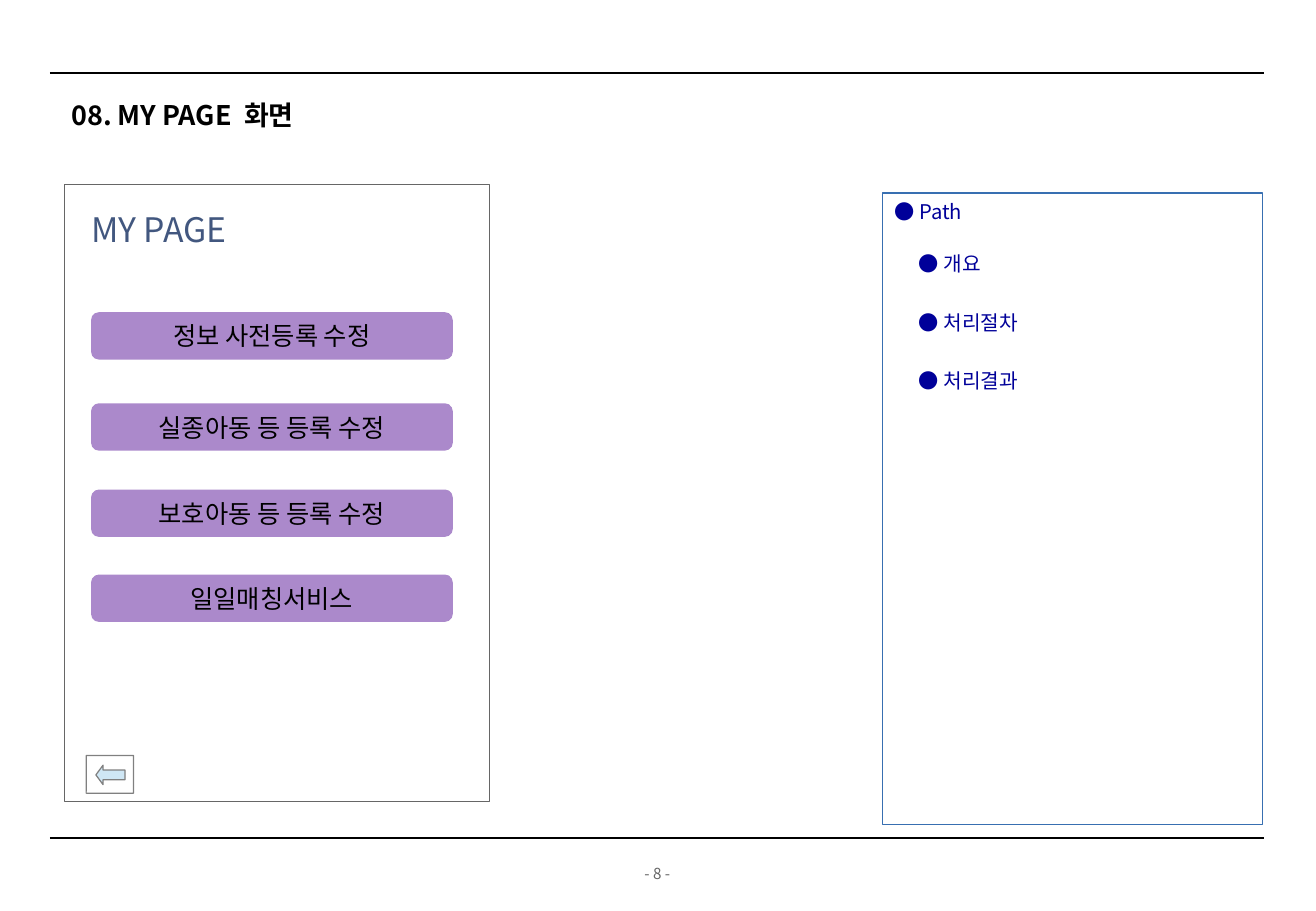
from lxml.etree import SubElement
from pptx import Presentation
from pptx.dml.color import RGBColor
from pptx.enum.shapes import MSO_CONNECTOR, MSO_SHAPE
from pptx.enum.text import MSO_ANCHOR, PP_ALIGN
from pptx.oxml.ns import qn
from pptx.util import Inches, Pt

FONT = "Noto Sans CJK KR"
CELL = 0.1
COLORS = {
    "black": "000000",
    "white": "FFFFFF",
    "page_number": "666666",
    "screen_border": "666666",
    "screen_title": "42577F",
    "panel_border": "386FB1",
    "panel_text": "000099",
    "button": "AB89CB",
    "back_border": "808080",
    "back_arrow": "CFE7F5",
}


class Page:
    def __init__(self, slide):
        self.slide = slide

    def grid(self, *cells):
        return [Inches(cell * CELL) for cell in cells]

    def color(self, name):
        return RGBColor.from_string(COLORS[name])

    def rule(self, left, right, row):
        line = self.slide.shapes.add_connector(
            MSO_CONNECTOR.STRAIGHT, *self.grid(left, row, right, row))
        line.line.color.rgb = self.color("black")
        line.line.width = Pt(1)
        SubElement(line._element.spPr, qn("a:effectLst"))

    def shape(self, kind, area, fill=None, border=None, adjustments=()):
        shape = self.slide.shapes.add_shape(kind, *self.grid(*area))
        shape.shadow.inherit = False
        if fill:
            shape.fill.solid()
            shape.fill.fore_color.rgb = self.color(fill)
        else:
            shape.fill.background()
        if border:
            shape.line.color.rgb = self.color(border)
            shape.line.width = Pt(0.75)
        else:
            shape.line.fill.background()
        for index, value in enumerate(adjustments):
            shape.adjustments[index] = value
        return shape

    def text_box(self, area):
        return self.slide.shapes.add_textbox(*self.grid(*area))

    def frame(self, holder, anchor=MSO_ANCHOR.TOP, inset=(1, 0.5)):
        frame = holder.text_frame
        frame.word_wrap = True
        frame.vertical_anchor = anchor
        frame.margin_left = frame.margin_right = self.grid(inset[0])[0]
        frame.margin_top = frame.margin_bottom = self.grid(inset[1])[0]
        return frame

    def set_text(self, paragraph, text, size, color, bold=False,
                 align=PP_ALIGN.LEFT, margin=0, indent=0):
        paragraph.text = text
        paragraph.alignment = align
        properties = paragraph._p.get_or_add_pPr()
        properties.set("marL", str(self.grid(margin)[0]))
        properties.set("indent", str(self.grid(indent)[0]))
        paragraph.font.name = FONT
        paragraph.font.size = Pt(size)
        paragraph.font.bold = bold
        paragraph.font.color.rgb = self.color(color)
        SubElement(properties.find(qn("a:defRPr")), qn("a:ea"), typeface=FONT)

    def label(self, shape, text, size, color, align):
        frame = self.frame(shape, MSO_ANCHOR.MIDDLE, (0, 0))
        self.set_text(frame.paragraphs[0], text, size, color, align=align)

    def button(self, row, text):
        button = self.shape(MSO_SHAPE.ROUNDED_RECTANGLE,
                            (7.5, row, 29.8, 3.9), "button")
        self.label(button, text, 15, "black", PP_ALIGN.CENTER)

    def description(self, area, heading, topics):
        panel = self.shape(MSO_SHAPE.RECTANGLE, area, border="panel_border")
        frame = self.frame(panel)
        self.set_text(frame.paragraphs[0], heading, 12, "panel_text")
        for topic, gap in topics:
            paragraph = frame.add_paragraph()
            paragraph.space_before = Pt(gap)
            self.set_text(paragraph, topic, 12, "panel_text", margin=2)


def main():
    presentation = Presentation()
    presentation.slide_width = Inches(10.84)
    presentation.slide_height = Inches(7.5)
    page = Page(presentation.slides.add_slide(presentation.slide_layouts[6]))

    page_number = page.frame(page.text_box((0, 70.7, 108.3, 2.5)))
    page.set_text(page_number.paragraphs[0], "- 8 -", 9, "page_number",
                  align=PP_ALIGN.CENTER)
    for row in (6, 69):
        page.rule(4.1, 104.1, row)

    heading = page.frame(page.text_box((4.7, 6.6, 99, 4.7))).paragraphs[0]
    heading.line_spacing = 1.4
    page.set_text(heading, "08. MY PAGE  화면", 16, "black", bold=True,
                  margin=3.8, indent=-3.6)

    page.shape(MSO_SHAPE.RECTANGLE, (5.3, 15.2, 35, 50.8),
               border="screen_border")
    screen_title = page.shape(MSO_SHAPE.RECTANGLE, (7.5, 15.9, 29.7, 5.9),
                              "white")
    page.label(screen_title, "MY PAGE", 20, "screen_title", PP_ALIGN.LEFT)

    page.description((72.7, 15.9, 31.3, 52), "● Path", [
        ("● 개요", 16.8),
        ("● 처리절차", 20.2),
        ("● 처리결과", 20.2),
    ])

    for row, text in (
        (25.7, "정보 사전등록 수정"),
        (33.2, "실종아동 등 등록 수정"),
        (40.3, "보호아동 등 등록 수정"),
        (47.3, "일일매칭서비스"),
    ):
        page.button(row, text)

    page.shape(MSO_SHAPE.ROUNDED_RECTANGLE, (7.1, 62.2, 3.9, 3.1),
               "white", "back_border", (0.01,))
    page.shape(MSO_SHAPE.LEFT_ARROW, (7.9, 63, 2.4, 1.6),
               "back_arrow", "back_border", (0.5, 0.37))

    presentation.save("out.pptx")


if __name__ == "__main__":
    main()
